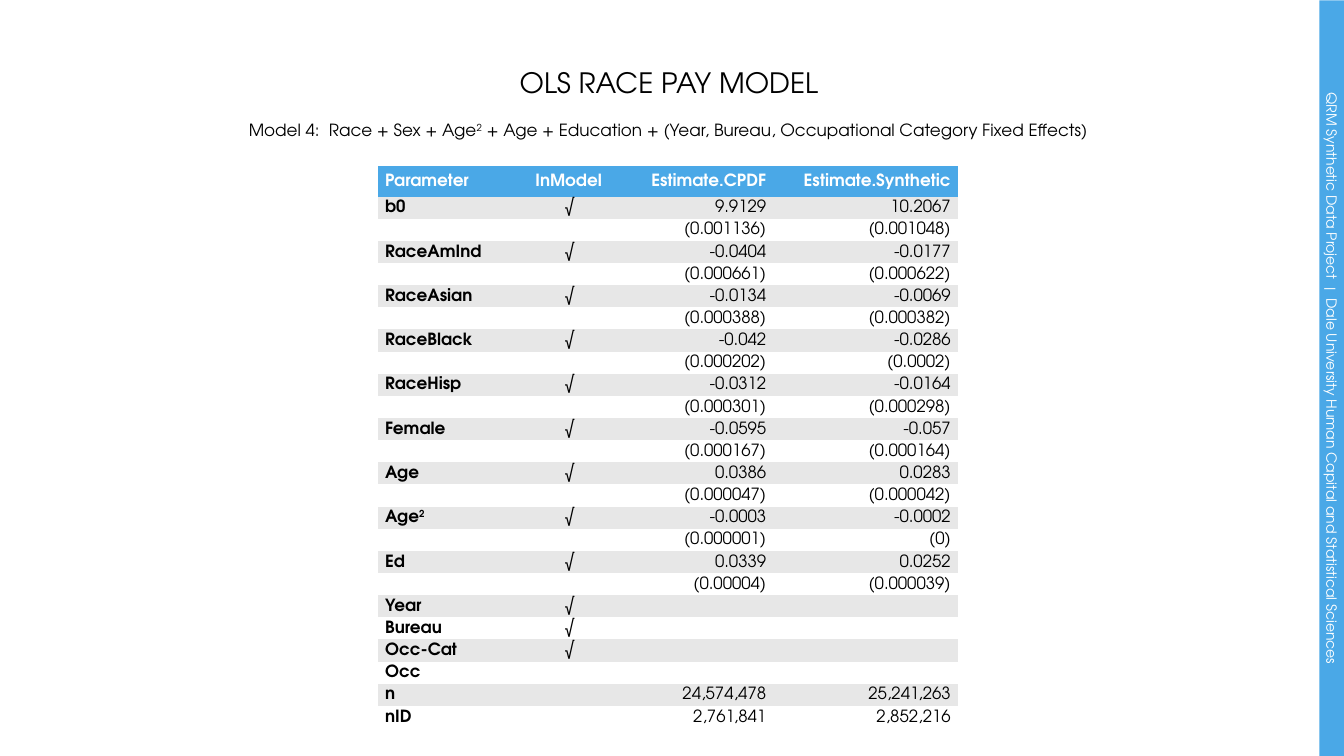
from dataclasses import dataclass

from lxml import etree
from pptx import Presentation
from pptx.dml.color import RGBColor
from pptx.enum.shapes import MSO_SHAPE
from pptx.enum.text import MSO_ANCHOR, PP_ALIGN
from pptx.oxml.ns import qn
from pptx.util import Emu, Pt

LEFT, CENTER, RIGHT = PP_ALIGN.LEFT, PP_ALIGN.CENTER, PP_ALIGN.RIGHT
TOP, MIDDLE, BOTTOM = MSO_ANCHOR.TOP, MSO_ANCHOR.MIDDLE, MSO_ANCHOR.BOTTOM
RECTANGLE = MSO_SHAPE.RECTANGLE

EMU_PER_PX = 9144  # 100 px to the inch
SLIDE_WIDTH, SLIDE_HEIGHT = 1333, 750
PLAIN_TABLE_STYLE = "{2D5ABB26-0587-4C30-8999-92F81FD0307C}"


@dataclass(frozen=True)
class Theme:
    font: str = "TeX Gyre Adventor"
    accent: RGBColor = RGBColor(0x4A, 0xA8, 0xE7)
    band: RGBColor = RGBColor(0xE7, 0xE7, 0xE7)
    white: RGBColor = RGBColor(0xFF, 0xFF, 0xFF)
    black: RGBColor = RGBColor(0x00, 0x00, 0x00)
    title_size: float = 20
    body_size: float = 12
    side_size: float = 10


THEME = Theme()


@dataclass(frozen=True)
class TextStyle:
    size: float = THEME.body_size
    color: RGBColor = THEME.black
    bold: bool = False
    align: PP_ALIGN = LEFT


@dataclass(frozen=True)
class TextBlock:
    box: tuple[int, int, int, int]
    text: str
    style: TextStyle
    anchor: MSO_ANCHOR
    spacing: dict


@dataclass(frozen=True)
class Estimate:
    """A model parameter with CPDF and synthetic (value, standard error) pairs."""
    name: str
    cpdf: tuple[str, str]
    synthetic: tuple[str, str]


HEADINGS = TextBlock(
    (40, 49, 1247, 54), "OLS RACE PAY MODEL",
    TextStyle(size=THEME.title_size, align=CENTER), BOTTOM, {},
), TextBlock(
    (218, 114, 890, 40),
    "Model 4:  Race + Sex + Age² + Age + Education + "
    "(Year, Bureau, Occupational Category Fixed Effects)",
    TextStyle(align=CENTER), TOP, {"space_before": Pt(2.4), "space_after": Pt(6)},
)
SIDE_BAND = TextBlock(
    (946, 363, 750, 25),
    "QRM Synthetic Data Project  |  Dale University Human Capital and Statistical Sciences",
    TextStyle(size=THEME.side_size, color=THEME.white, align=CENTER), MIDDLE,
    {"space_before": Pt(2), "space_after": Pt(18)},
)

TABLE_LEFT, TABLE_TOP = 375, 165
COLUMN_WIDTHS = (137, 104, 151, 183)
COLUMN_ALIGNS = (LEFT, CENTER, RIGHT, RIGHT)
HEADER_HEIGHT, ROW_HEIGHT = 30, 22
CELL_INSET = 7
CHECK = "√"
HEADER = ("Parameter", "InModel", "Estimate.CPDF", "Estimate.Synthetic")
ESTIMATES = (
    Estimate("b0", ("9.9129", "0.001136"), ("10.2067", "0.001048")),
    Estimate("RaceAmInd", ("-0.0404", "0.000661"), ("-0.0177", "0.000622")),
    Estimate("RaceAsian", ("-0.0134", "0.000388"), ("-0.0069", "0.000382")),
    Estimate("RaceBlack", ("-0.042", "0.000202"), ("-0.0286", "0.0002")),
    Estimate("RaceHisp", ("-0.0312", "0.000301"), ("-0.0164", "0.000298")),
    Estimate("Female", ("-0.0595", "0.000167"), ("-0.057", "0.000164")),
    Estimate("Age", ("0.0386", "0.000047"), ("0.0283", "0.000042")),
    Estimate("Age²", ("-0.0003", "0.000001"), ("-0.0002", "0")),
    Estimate("Ed", ("0.0339", "0.00004"), ("0.0252", "0.000039")),
)
SUMMARY_ROWS = (
    ("Year", CHECK, "", ""),
    ("Bureau", CHECK, "", ""),
    ("Occ-Cat", CHECK, "", ""),
    ("Occ", "", "", ""),
    ("n", "", "24,574,478", "25,241,263"),
    ("nID", "", "2,761,841", "2,852,216"),
)


def px(length: int) -> Emu:
    return Emu(length * EMU_PER_PX)


def set_attributes(target, values: dict) -> None:
    for name, value in values.items():
        setattr(target, name, value)


def add_run(paragraph, text: str, style: TextStyle):
    run = paragraph.add_run()
    run.text = text
    set_attributes(run.font, {
        "name": THEME.font, "size": Pt(style.size), "bold": style.bold})
    run.font.color.rgb = style.color
    return run


def write_text(paragraph, text: str, style: TextStyle, spacing: dict) -> None:
    """Fill a paragraph, setting each ² as a raised 2."""
    set_attributes(paragraph, {"alignment": style.align, **spacing})
    for index, part in enumerate(text.split("²")):
        if index:
            raised = add_run(paragraph, "2", style)
            raised.font._element.set("baseline", "30000")
        if part:
            add_run(paragraph, part, style)
    if not text:
        end = etree.SubElement(paragraph._p, qn("a:endParaRPr"), sz=str(int(style.size * 100)))
        etree.SubElement(end, qn("a:latin"), typeface=THEME.font)


def fill_text_frame(shape, block: TextBlock) -> None:
    frame = shape.text_frame
    set_attributes(frame, {"word_wrap": True, "vertical_anchor": block.anchor})
    write_text(frame.paragraphs[0], block.text, block.style, block.spacing)


def add_heading(slide, block: TextBlock) -> None:
    fill_text_frame(slide.shapes.add_textbox(*map(px, block.box)), block)


def add_side_band(slide, block: TextBlock) -> None:
    shape = slide.shapes.add_shape(RECTANGLE, *map(px, block.box))
    shape.rotation = 90
    shape.shadow.inherit = False
    shape.fill.solid()
    shape.fill.fore_color.rgb = THEME.accent
    shape.line.fill.background()
    fill_text_frame(shape, block)


def table_rows() -> list[tuple[str, ...]]:
    """Each estimate takes a value row and a bracketed standard error row."""
    rows = [HEADER]
    for item in ESTIMATES:
        rows.append((item.name, CHECK, item.cpdf[0], item.synthetic[0]))
        rows.append(("", "", f"({item.cpdf[1]})", f"({item.synthetic[1]})"))
    return rows + list(SUMMARY_ROWS)


def fill_cell(cell, text: str, style: TextStyle, fill: RGBColor) -> None:
    set_attributes(cell, {
        "margin_left": px(CELL_INSET), "margin_right": px(CELL_INSET),
        "margin_top": 0, "margin_bottom": 0, "vertical_anchor": MIDDLE})
    cell.fill.solid()
    cell.fill.fore_color.rgb = fill
    write_text(cell.text_frame.paragraphs[0], text, style, {"line_spacing": 1.07})


def add_estimate_table(slide) -> None:
    rows = table_rows()
    heights = [HEADER_HEIGHT] + [ROW_HEIGHT] * (len(rows) - 1)
    frame = slide.shapes.add_table(
        len(rows), len(COLUMN_WIDTHS), px(TABLE_LEFT), px(TABLE_TOP),
        px(sum(COLUMN_WIDTHS)), px(sum(heights)))
    table = frame.table
    set_attributes(table, {"first_row": False, "horz_banding": False})
    table._tbl.tblPr.find(qn("a:tableStyleId")).text = PLAIN_TABLE_STYLE
    for column, width in zip(table.columns, COLUMN_WIDTHS):
        column.width = px(width)
    for row_index, (row, height) in enumerate(zip(rows, heights)):
        table.rows[row_index].height = px(height)
        is_header = row_index == 0
        fill = THEME.accent if is_header else (THEME.white, THEME.band)[row_index % 2]
        color = THEME.white if is_header else THEME.black
        for column_index, (text, align) in enumerate(zip(row, COLUMN_ALIGNS)):
            bold = is_header or column_index == 0
            style = TextStyle(color=color, bold=bold, align=align)
            fill_cell(table.cell(row_index, column_index), text, style, fill)


def main() -> None:
    presentation = Presentation()
    set_attributes(presentation, {
        "slide_width": px(SLIDE_WIDTH), "slide_height": px(SLIDE_HEIGHT)})
    slide = presentation.slides.add_slide(presentation.slide_layouts[6])
    for heading in HEADINGS:
        add_heading(slide, heading)
    add_estimate_table(slide)
    add_side_band(slide, SIDE_BAND)
    presentation.save("out.pptx")


if __name__ == "__main__":
    main()
